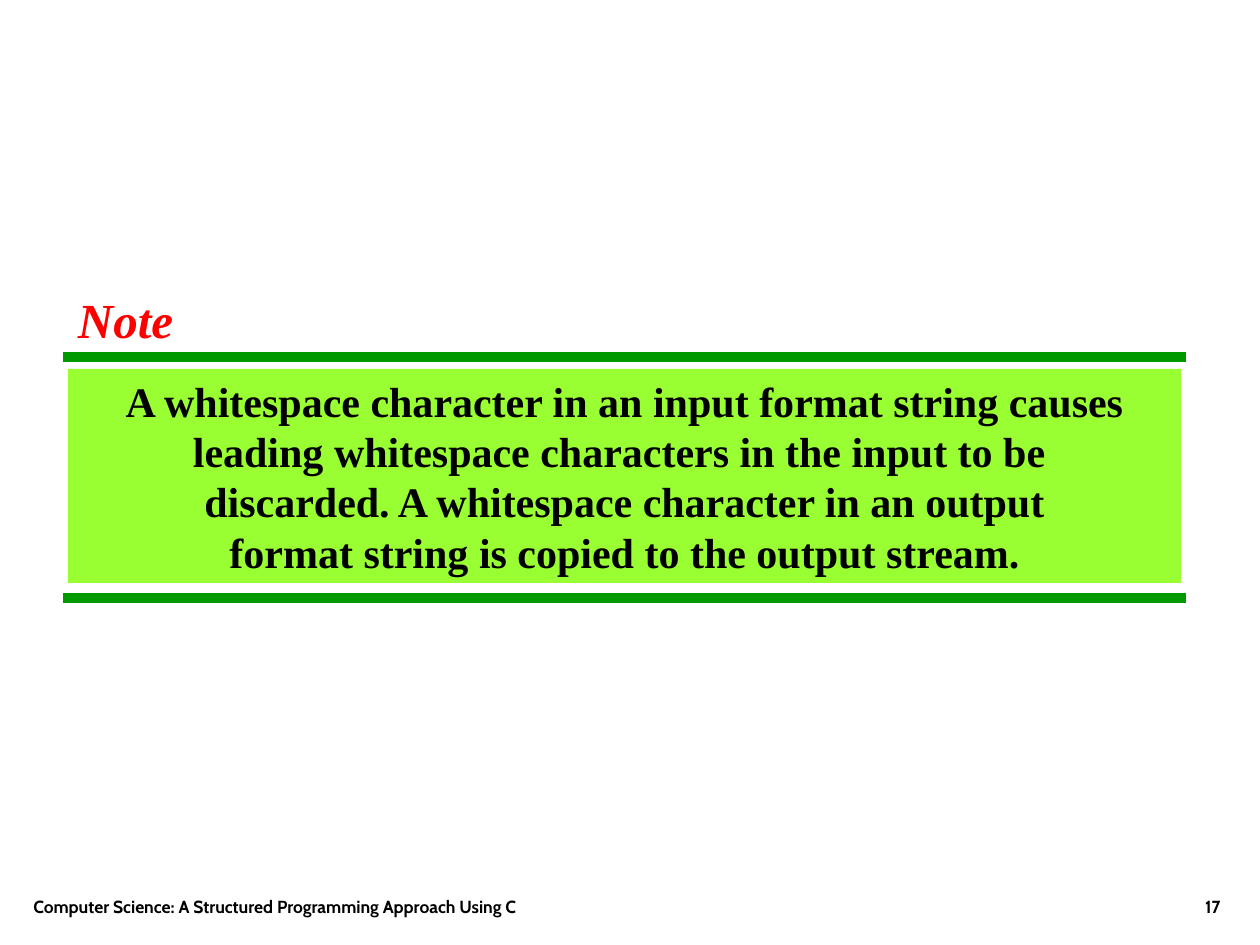
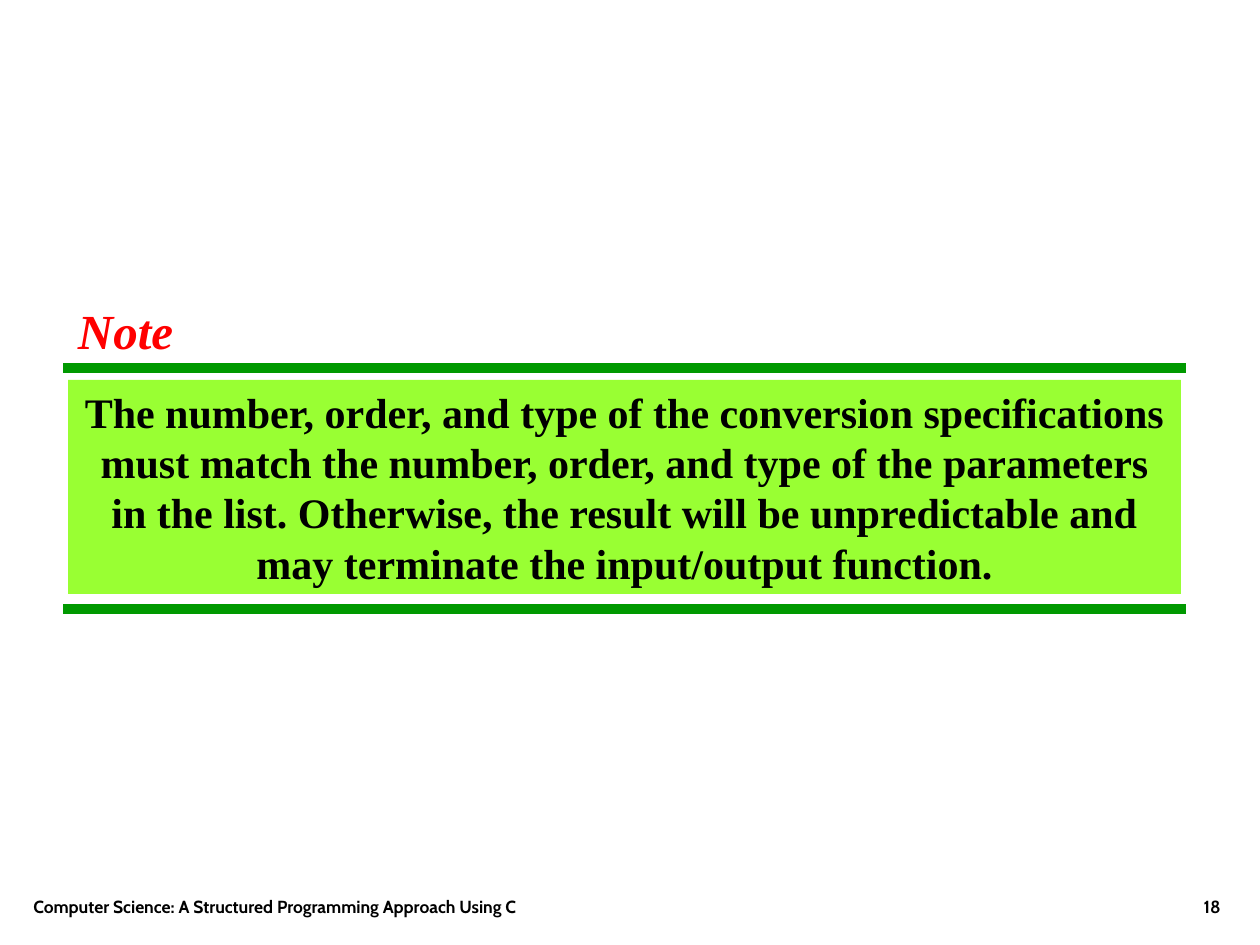
from dataclasses import dataclass

from lxml.etree import SubElement
from pptx import Presentation
from pptx.dml.color import RGBColor
from pptx.enum.shapes import MSO_CONNECTOR as Link, MSO_SHAPE as Form
from pptx.enum.text import MSO_ANCHOR as Anchor, MSO_AUTO_SIZE as Fit, PP_ALIGN as Align
from pptx.oxml.ns import qn
from pptx.util import Emu, Pt

DPI = 126
GREEN, LIME, RED, BLACK = "009900", "99FF33", "FF0000", "000000"
SERIF, SANS = "Times New Roman", "Cabin"
BOOK = "Computer Science: A Structured Programming Approach Using C"


@dataclass(frozen=True)
class Style:
    font: str
    size: int
    color: str
    slant: bool = False


@dataclass(frozen=True)
class Note:
    page: int
    top: int
    lines: tuple[str, ...]


HEAD = Style(SERIF, 28, RED, True)
BODY = Style(SERIF, 24, BLACK)
FOOT = Style(SANS, 10, BLACK)

NOTES = (
    Note(17, 357, (
        "A whitespace character in an input format string causes "
        "leading whitespace characters in the input to be ",
        "discarded. A whitespace character in an output",
        "format string is copied to the output stream.",
    )),
    Note(18, 368, (
        "The number, order, and type of the conversion specifications "
        "must match the number, order, and type of the parameters in the list. "
        "Otherwise, the result will be unpredictable and "
        "may terminate the input/output function.",
    )),
)


def px(count: int) -> Emu:
    return Emu(round(count * 914400 / DPI))


def rgb(code: str) -> RGBColor:
    return RGBColor.from_string(code)


def write(shape, lines: tuple[str, ...], style: Style, align: Align,
          anchor: Anchor = Anchor.TOP) -> None:
    frame = shape.text_frame
    frame.word_wrap = True
    frame.auto_size = Fit.NONE
    frame.vertical_anchor = anchor
    for index, line in enumerate(lines):
        para = frame.add_paragraph() if index else frame.paragraphs[0]
        para.alignment = align
        run = para.add_run()
        run.text = line
        font = run.font
        font.name, font.size = style.font, Pt(style.size)
        font.bold, font.italic = True, style.slant
        font.color.rgb = rgb(style.color)


def rule(slide, y: int) -> None:
    line = slide.shapes.add_connector(Link.STRAIGHT, px(63), px(y), px(1186), px(y))
    line.line.color.rgb = rgb(GREEN)
    line.line.width = Pt(6)
    SubElement(line._element.spPr, qn("a:effectLst"))


def title(slide, y: int) -> None:
    head = slide.shapes.title
    head.left, head.top, head.width, head.height = px(60), px(y), px(131), px(72)
    write(head, ("Note",), HEAD, Align.CENTER)


def panel(slide, y: int, lines: tuple[str, ...]) -> None:
    box = slide.shapes.add_shape(Form.RECTANGLE, px(68), px(y), px(1113), px(214))
    box.shadow.inherit = False
    box.fill.solid()
    box.fill.fore_color.rgb = rgb(LIME)
    box.line.fill.background()
    write(box, lines, BODY, Align.CENTER)


def footer(slide, x: int, width: int, text: str, align: Align) -> None:
    box = slide.shapes.add_textbox(px(x), px(860), px(width), px(63))
    write(box, (text,), FOOT, align, Anchor.BOTTOM)


def build(deck, note: Note) -> None:
    slide = deck.slides.add_slide(deck.slide_layouts[5])
    title(slide, note.top - 74)
    rule(slide, note.top)
    rule(slide, note.top + 241)
    panel(slide, note.top + 12, note.lines)
    footer(slide, 21, 714, BOOK, Align.LEFT)
    footer(slide, 971, 262, str(note.page), Align.RIGHT)


def main() -> None:
    deck = Presentation()
    deck.slide_width, deck.slide_height = px(1260), px(945)
    for note in NOTES:
        build(deck, note)
    deck.save("out.pptx")


if __name__ == "__main__":
    main()
